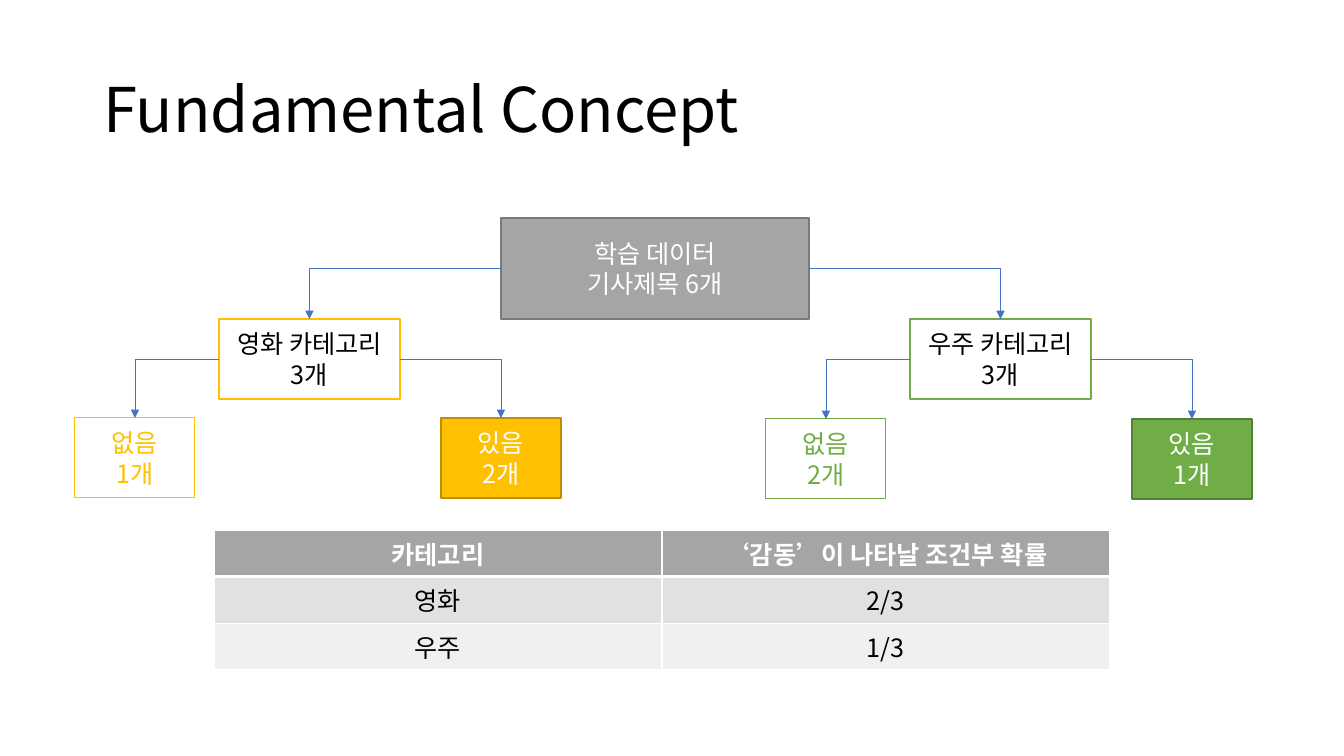
from pptx import Presentation
from pptx.dml.color import RGBColor
from pptx.enum.shapes import MSO_CONNECTOR as Connector, MSO_SHAPE as Shape
from pptx.enum.text import MSO_ANCHOR as Anchor, PP_ALIGN as Align
from pptx.oxml.ns import qn
from pptx.util import Emu, Pt
from lxml.etree import SubElement

FONT = "Noto Sans CJK KR"
WHITE, BLACK, GRAY, BLUE = "FFFFFF", "000000", "A5A5A5", "4472C4"
GOLD, GREEN = "FFC000", "70AD47"
TITLE = "Fundamental Concept"
TITLE_AREA = (93, 40, 1159, 146)

ROOT = {"lines": ["학습 데이터", "기사제목 6개"], "at": (501, 218, 308, 101),
        "fill": GRAY, "edge": ("7A7A7A", 1), "ink": WHITE}
CATEGORIES = [
    {"lines": ["영화 카테고리", "3개"], "left": 219, "leaf_top": 418,
     "color": GOLD, "dark": "BD8E00", "absent": "1개", "present": "2개"},
    {"lines": ["우주 카테고리", "3개"], "left": 910, "leaf_top": 419,
     "color": GREEN, "dark": "538035", "absent": "2개", "present": "1개"},
]
CATEGORY_TOP, CATEGORY_WIDTH, BOX_HEIGHT = 319, 181, 80
LEAF_WIDTH, ABSENT_SHIFT, PRESENT_SHIFT = 120, -144, 222
TOP_SITE, LEFT_SITE, RIGHT_SITE = 0, 1, 3

ROWS = [("카테고리", "‘감동’이 나타날 조건부 확률"), ("영화", "2/3"), ("우주", "1/3")]
ROW_FILLS = [GRAY, "E1E1E1", "F0F0F0"]
TABLE_AREA = (214, 530, 896, 123)


def px(value):
    return Emu(round(value * 914400 / 100.8))


def rgb(code):
    return RGBColor.from_string(code)


def apply(target, values):
    for name, value in values.items():
        setattr(target, name, value)


def write(frame, lines, ink, size=18, bold=False, align=Align.CENTER, spacing=1.0):
    for index, line in enumerate(lines):
        para = frame.paragraphs[0] if index == 0 else frame.add_paragraph()
        apply(para, {"alignment": align, "line_spacing": spacing})
        span = para.add_run()
        span.text = line
        apply(span.font, {"name": FONT, "size": Pt(size), "bold": bold})
        span.font.color.rgb = rgb(ink)
        SubElement(span.font._element, qn("a:ea"), typeface=FONT)


def add_box(lines, at, fill, edge, ink):
    box = slide.shapes.add_shape(Shape.RECTANGLE, *map(px, at))
    box.shadow.inherit = False
    if fill:
        box.fill.solid()
        box.fill.fore_color.rgb = rgb(fill)
    else:
        box.fill.background()
    color, width = edge
    box.line.color.rgb = rgb(color)
    box.line.width = Pt(width)
    box.text_frame.vertical_anchor = Anchor.MIDDLE
    write(box.text_frame, lines, ink)
    return box


def add_arrow(parent, site, child):
    arrow = slide.shapes.add_connector(Connector.ELBOW, 0, 0, 0, 0)
    arrow.begin_connect(parent, site)
    arrow.end_connect(child, TOP_SITE)
    arrow.line.color.rgb = rgb(BLUE)
    arrow.line.width = Pt(0.5)
    properties = arrow._element.spPr
    properties.find(qn("a:prstGeom")).set("prst", "bentConnector2")
    SubElement(properties.find(qn("a:ln")), qn("a:tailEnd"), type="triangle")
    SubElement(properties, qn("a:effectLst"))


def add_border(cell, side, width):
    border = SubElement(cell._tc.get_or_add_tcPr(), qn("a:ln" + side), w=str(Pt(width)))
    SubElement(SubElement(border, qn("a:solidFill")), qn("a:srgbClr"), val=WHITE)


deck = Presentation()
apply(deck, {"slide_width": px(1344), "slide_height": px(756)})
slide = deck.slides.add_slide(deck.slide_layouts[5])

title = slide.shapes.title
apply(title, dict(zip(("left", "top", "width", "height"), map(px, TITLE_AREA))))
title.text_frame.vertical_anchor = Anchor.MIDDLE
write(title.text_frame, [TITLE], BLACK, size=44, align=Align.LEFT, spacing=0.9)

root = add_box(**ROOT)
for category, root_site in zip(CATEGORIES, (LEFT_SITE, RIGHT_SITE)):
    left, color = category["left"], category["color"]
    parent = add_box(category["lines"], (left, CATEGORY_TOP, CATEGORY_WIDTH, BOX_HEIGHT),
                     WHITE, (color, 1), BLACK)
    add_arrow(root, root_site, parent)
    leaves = [
        ("없음", category["absent"], ABSENT_SHIFT, None, (color, 0.75), color, LEFT_SITE),
        ("있음", category["present"], PRESENT_SHIFT, color, (category["dark"], 1), WHITE, RIGHT_SITE),
    ]
    for label, count, shift, fill, edge, ink, site in leaves:
        at = (left + shift, category["leaf_top"], LEAF_WIDTH, BOX_HEIGHT)
        add_arrow(parent, site, add_box([label, count], at, fill, edge, ink))

table = slide.shapes.add_table(len(ROWS), len(ROWS[0]), *map(px, TABLE_AREA)).table
table.horz_banding = False
for row, texts in enumerate(ROWS):
    header = row == 0
    for column, text in enumerate(texts):
        cell = table.cell(row, column)
        for side in "LRTB":
            thick = (header and side == "B") or (row == 1 and side == "T")
            add_border(cell, side, 3 if thick else 1)
        cell.fill.solid()
        cell.fill.fore_color.rgb = rgb(ROW_FILLS[row])
        write(cell.text_frame, [text], WHITE if header else BLACK, bold=header)

deck.save("out.pptx")
